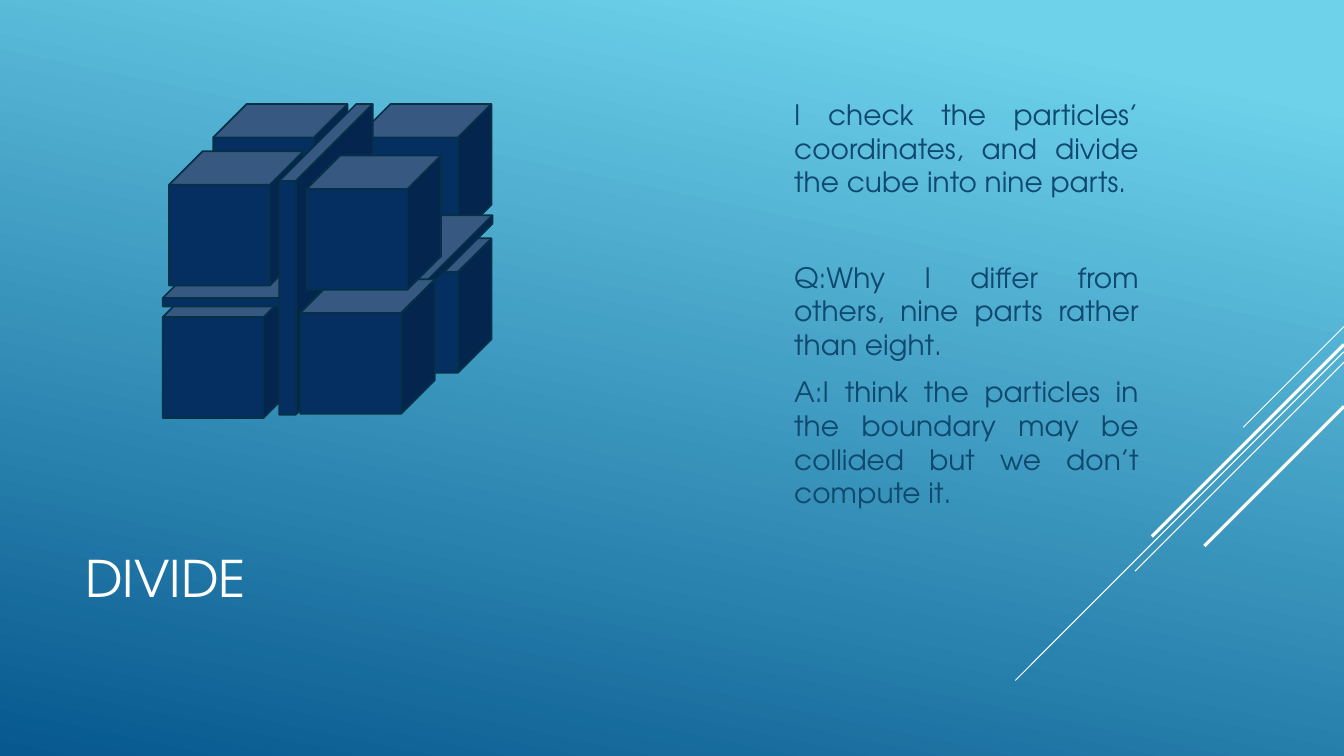
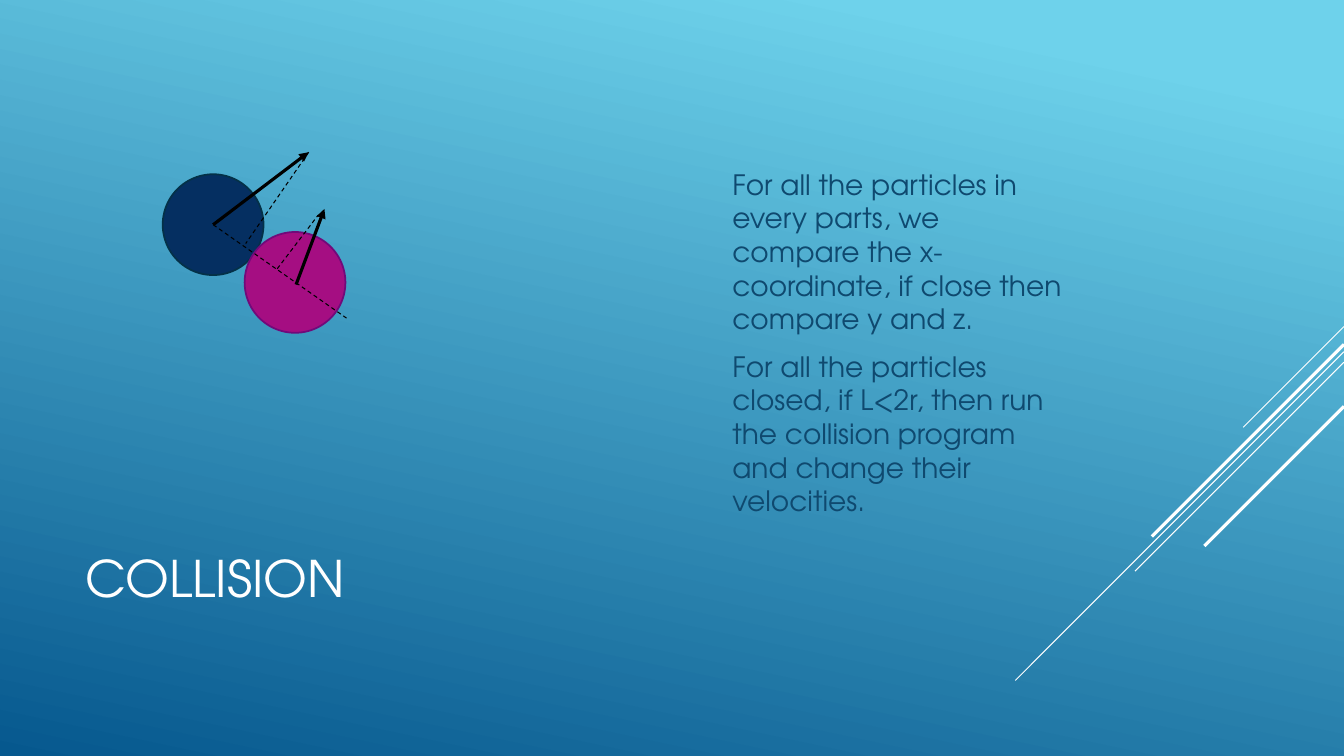
import lxml.etree
import pptx
import pptx.dml.color
import pptx.enum.dml
import pptx.enum.shapes
import pptx.enum.text
import pptx.oxml.ns
import pptx.util

RGB = pptx.dml.color.RGBColor
SKY = RGB(0x6E, 0xD2, 0xEB)
DEEP = RGB(0x06, 0x58, 0x8E)
WHITE = RGB(0xFF, 0xFF, 0xFF)
BLACK = RGB(0x00, 0x00, 0x00)
INK = RGB(0x0F, 0x49, 0x6F)
NAVY = RGB(0x05, 0x2F, 0x61)
NAVY_EDGE = RGB(0x04, 0x31, 0x48)
PLUM = RGB(0xA5, 0x0E, 0x82)
PLUM_EDGE = RGB(0x71, 0x0A, 0x7A)

FONT = "TeX Gyre Adventor"
SCALE = 9525
WIDE, HIGH = 1280, 720
THIN, BOLD = 0.75, 2.25
TITLE_BOX = (72, 471, 896, 158)
STRIPES = [(311, 96, THIN), (335, 313, THIN), (345, 199, THIN),
           (328, 183, BOLD), (387, 133, BOLD)]

ALIGN = pptx.enum.text.PP_ALIGN
SHAPE = pptx.enum.shapes.MSO_SHAPE
qn = pptx.oxml.ns.qn


def px(num):
    return pptx.util.Emu(num * SCALE)


def add_line(slide, start, end, color, weight, dash=False, arrow=False):
    line = slide.shapes.add_connector(
        pptx.enum.shapes.MSO_CONNECTOR.STRAIGHT,
        *[px(num) for num in (*start, *end)])
    line.line.color.rgb = color
    line.line.width = pptx.util.Pt(weight)
    if dash:
        line.line.dash_style = pptx.enum.dml.MSO_LINE.DASH
    props = line._element.spPr
    if arrow:
        lxml.etree.SubElement(props.find(qn("a:ln")), qn("a:tailEnd"), type="triangle")
    lxml.etree.SubElement(props, qn("a:effectLst"))


def add_solid(slide, kind, box, fill, edge):
    solid = slide.shapes.add_shape(kind, *[px(num) for num in box])
    solid.shadow.inherit = False
    solid.fill.solid()
    solid.fill.fore_color.rgb = fill
    solid.line.color.rgb = edge
    solid.line.width = pptx.util.Pt(1.25)
    return solid


def add_text(slide, box, lines, size, color, align=ALIGN.LEFT):
    frame = slide.shapes.add_textbox(*[px(num) for num in box]).text_frame
    frame.word_wrap = True
    frame.vertical_anchor = pptx.enum.text.MSO_ANCHOR.MIDDLE
    frame.text = "\n".join(lines)
    for para in frame.paragraphs:
        para.alignment = align
        for run in para.runs:
            run.font.name = FONT
            run.font.size = pptx.util.Pt(size)
            run.font.color.rgb = color
    return frame


def add_body(slide, box, lines, align=ALIGN.LEFT):
    frame = add_text(slide, box, lines, 20, INK, align)
    for para in frame.paragraphs:
        para.space_before = pptx.util.Pt(4)
        para.space_after = pptx.util.Pt(6)
    return frame


def set_back(deck):
    fill = deck.slide_master.background.fill
    fill.gradient()
    fill.gradient_angle = 258
    for stop, color, place in zip(fill.gradient_stops, (SKY, DEEP), (0.1, 1)):
        stop.color.rgb = color
        stop.position = place


def add_slide(deck, title):
    slide = deck.slides.add_slide(deck.slide_layouts[6])
    for top, run, weight in STRIPES:
        add_line(slide, (WIDE, top), (WIDE - run, top + run), WHITE, weight)
    add_text(slide, TITLE_BOX, [title], 36, WHITE)
    return slide


def draw_cubes(slide, left, top):
    side = 128
    back = [(x, y, side, side, 0.25) for y in (0, side) for x in (48, 185)]
    front = [(0, 171, side, side, 0.25),
             (0, 106, 314, 87, 0.907),
             (6, 45, side, side, 0.25),
             (111, 0, 89, 296, 0.825),
             (131, 167, side, side, 0.25),
             (137, 49, side, side, 0.25)]
    for x, y, wide, high, depth in back + front:
        cube = add_solid(slide, SHAPE.CUBE, (left + x, top + y, wide, high),
                         NAVY, NAVY_EDGE)
        cube.adjustments[0] = depth


def draw_balls(slide, left, top):
    size = 96
    for x, y, fill, edge in [(0, 21, NAVY, NAVY_EDGE), (78, 76, PLUM, PLUM_EDGE)]:
        add_solid(slide, SHAPE.OVAL, (left + x, top + y, size, size), fill, edge)
    hub, tip = (48, 69), (139, 0)
    arrows = [(hub, tip), ((127, 126), (154, 54))]
    dashes = [(hub, (175, 158)), (tip, (79, 87)), ((109, 111), (148, 60))]
    for start, end in arrows + dashes:
        arrow = (start, end) in arrows
        add_line(slide, (left + start[0], top + start[1]),
                 (left + end[0], top + end[1]), BLACK,
                 BOLD if arrow else THIN, dash=not arrow, arrow=arrow)


def divide_slide(deck):
    slide = add_slide(deck, "DIVIDE")
    body = add_body(slide, (747, 72, 347, 434), [
        "I check the particles’ coordinates, and divide the cube into nine parts.",
        "Q:Why I differ from others, nine parts rather than eight.",
        "A:I think the particles in the boundary may be collided but we don’t compute it.",
    ], ALIGN.JUSTIFY)
    body.paragraphs[1].space_before = pptx.util.Pt(38)
    draw_cubes(slide, 155, 99)


def collide_slide(deck):
    slide = add_slide(deck, "COLLISION")
    add_body(slide, (688, 72, 343, 508), [
        "For all the particles in every parts, we compare the x-coordinate, "
        "if close then compare y and z.",
        "For all the particles closed, if L<2r, then run the collision program "
        "and change their velocities.",
    ])
    draw_balls(slide, 155, 145)


def main():
    deck = pptx.Presentation()
    deck.slide_width, deck.slide_height = px(WIDE), px(HIGH)
    set_back(deck)
    divide_slide(deck)
    collide_slide(deck)
    deck.save("out.pptx")


if __name__ == "__main__":
    main()
